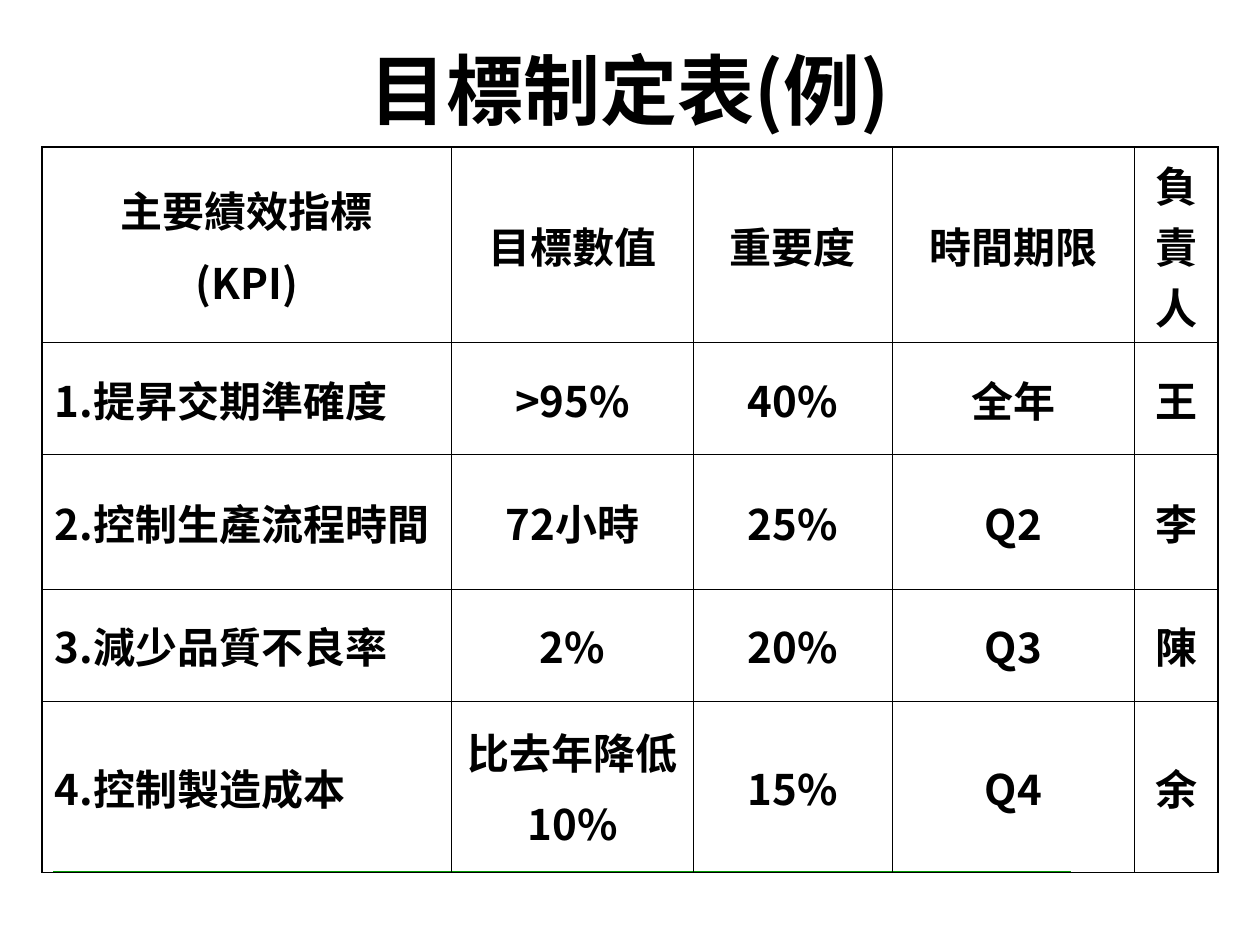
from dataclasses import dataclass

from lxml import etree
from pptx import Presentation
from pptx import util as u
from pptx.dml.color import RGBColor
from pptx.enum import shapes, text
from pptx.oxml import ns


@dataclass(frozen=True)
class Theme:
    font: str = "Noto Sans CJK SC"
    ink: str = "000000"
    rule: str = "009900"
    title_size: float = 44
    table_size: float = 24
    paragraph_gap: float = 6
    outer_border: float = 1.08
    inner_border: float = 0.45
    rule_width: float = 1.5


THEME = Theme()

HEADING = "目標制定表(例)"
GOALS = [
    ("主要績效指標\n(KPI)", "目標數值", "重要度", "時間期限", "負責人"),
    ("1.提昇交期準確度", ">95%", "40%", "全年", "王"),
    ("2.控制生產流程時間", "72小時", "25%", "Q2", "李"),
    ("3.減少品質不良率", "2%", "20%", "Q3", "陳"),
    ("4.控制製造成本", "比去年降低\n10%", "15%", "Q4", "余"),
]
COLUMN_WIDTHS = [8.25, 4.88, 4.01, 4.88, 1.69]
ROW_HEIGHTS = [3.3, 2.26, 2.26, 2.26, 3.45]


def style_paragraphs(frame, size, align, gap=0):
    for index, paragraph in enumerate(frame.paragraphs):
        paragraph.alignment = align
        paragraph.space_before = u.Pt(gap if index else 0)
        for run in paragraph.runs:
            run.font.size = u.Pt(size)
            run.font.bold = True
            run.font.name = THEME.font
            run.font.color.rgb = RGBColor.from_string(THEME.ink)
            east_asian = etree.Element(ns.qn("a:ea"), typeface=THEME.font)
            run.font._element.find(ns.qn("a:latin")).addnext(east_asian)


def set_borders(cell, outer_sides):
    properties = cell._tc.get_or_add_tcPr()
    for index, side in enumerate("LRTB"):
        width = THEME.outer_border if side in outer_sides else THEME.inner_border
        border = etree.Element(ns.qn(f"a:ln{side}"), w=str(int(u.Pt(width))))
        fill = etree.SubElement(border, ns.qn("a:solidFill"))
        etree.SubElement(fill, ns.qn("a:srgbClr"), val=THEME.ink)
        properties.insert(index, border)


def add_heading(slide):
    heading = slide.shapes.title
    heading.left, heading.top = u.Cm(2.01), u.Cm(0.74)
    heading.width, heading.height = u.Cm(21.36), u.Cm(2.11)
    heading.text_frame.text = HEADING
    heading.text_frame.vertical_anchor = text.MSO_ANCHOR.MIDDLE
    style_paragraphs(heading.text_frame, THEME.title_size, text.PP_ALIGN.CENTER)


def add_footer_rule(slide):
    footer_rule = slide.shapes.add_connector(
        shapes.MSO_CONNECTOR.STRAIGHT, u.Cm(1.07), u.Cm(17.58), u.Cm(21.59), u.Cm(17.58)
    )
    footer_rule.line.color.rgb = RGBColor.from_string(THEME.rule)
    footer_rule.line.width = u.Pt(THEME.rule_width)
    etree.SubElement(footer_rule._element.spPr, ns.qn("a:effectLst"))


def add_goal_table(slide):
    goals = slide.shapes.add_table(
        len(GOALS), len(COLUMN_WIDTHS), u.Cm(0.85), u.Cm(2.97),
        u.Cm(sum(COLUMN_WIDTHS)), u.Cm(sum(ROW_HEIGHTS)),
    ).table
    goals.first_row = goals.horz_banding = False
    for column, width in zip(goals.columns, COLUMN_WIDTHS):
        column.width = u.Cm(width)
    for row, height in zip(goals.rows, ROW_HEIGHTS):
        row.height = u.Cm(height)

    last_row, last_column = len(GOALS) - 1, len(COLUMN_WIDTHS) - 1
    for r, entries in enumerate(GOALS):
        for c, entry in enumerate(entries):
            cell = goals.cell(r, c)
            cell.text_frame.text = entry
            cell.vertical_anchor = text.MSO_ANCHOR.MIDDLE
            cell.fill.background()
            is_goal_name = r > 0 and c == 0
            align = text.PP_ALIGN.LEFT if is_goal_name else text.PP_ALIGN.CENTER
            style_paragraphs(cell.text_frame, THEME.table_size, align, THEME.paragraph_gap)
            edges = {"L": c == 0, "R": c == last_column, "T": r == 0, "B": r == last_row}
            set_borders(cell, [side for side, outer in edges.items() if outer])


def main():
    deck = Presentation()
    deck.slide_width, deck.slide_height = u.Cm(25.4), u.Cm(19.05)
    slide = deck.slides.add_slide(deck.slide_layouts[5])
    add_heading(slide)
    add_footer_rule(slide)
    add_goal_table(slide)
    deck.save("out.pptx")


if __name__ == "__main__":
    main()
